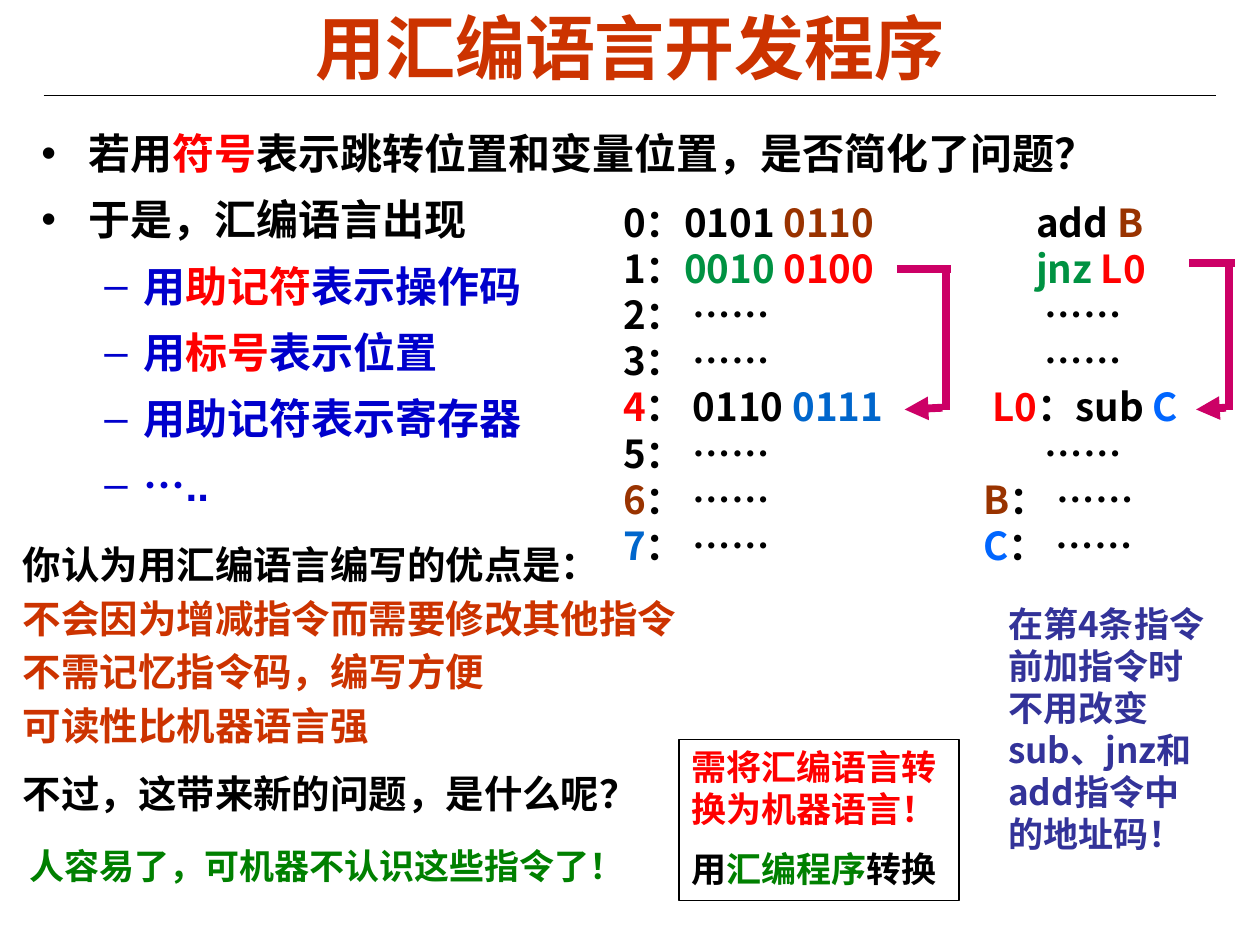
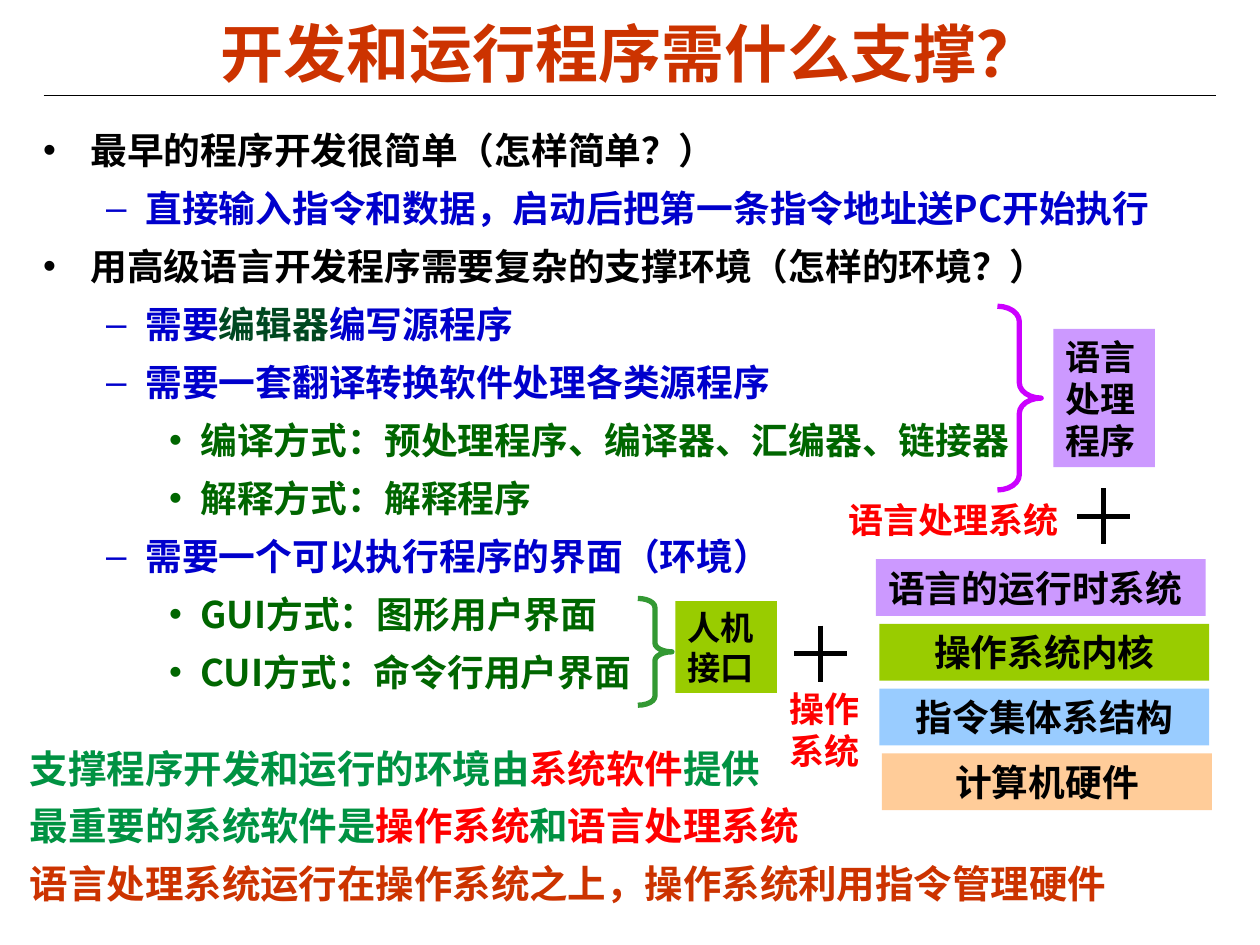
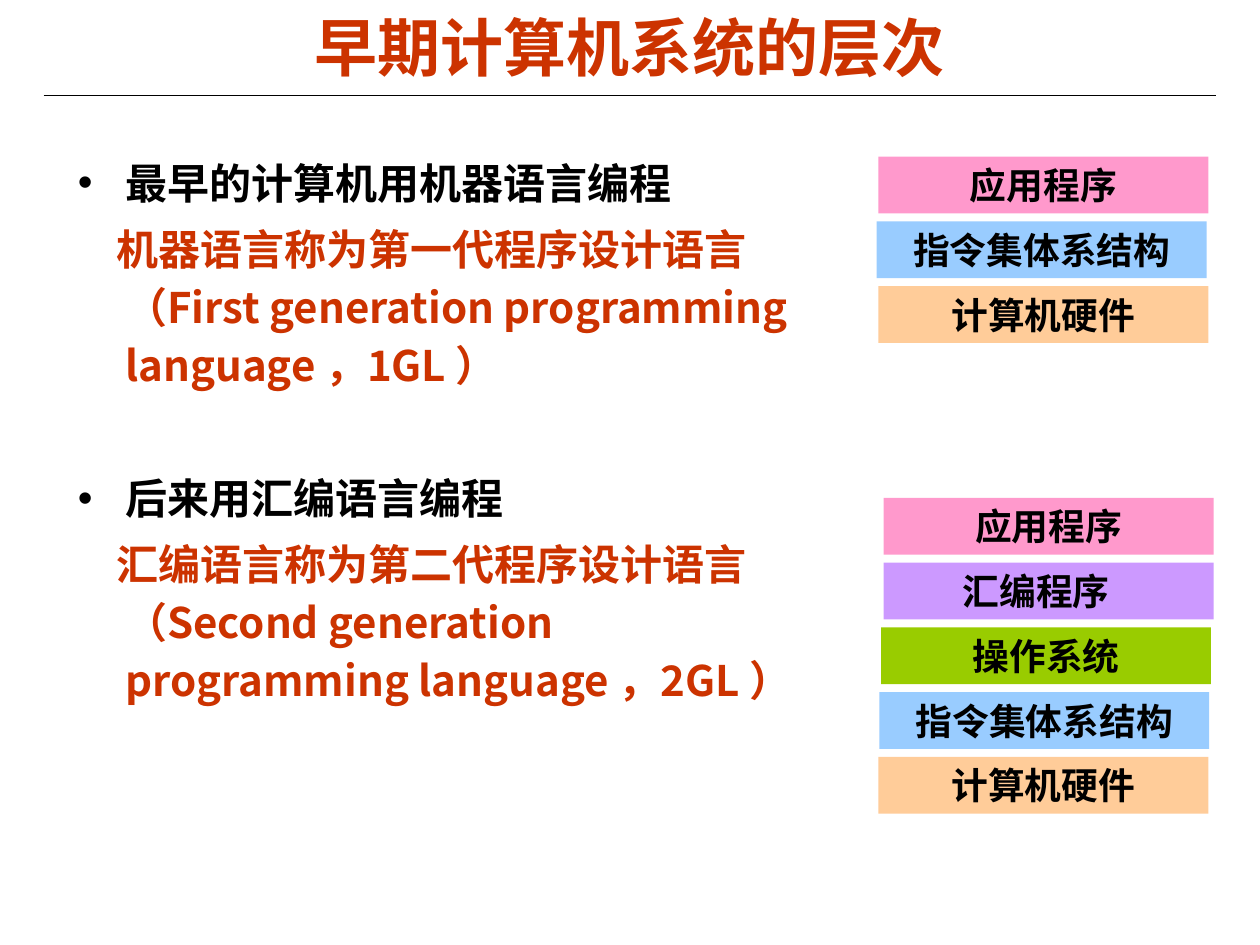
from dataclasses import dataclass

from lxml import etree
from pptx import Presentation
from pptx import util as u
from pptx.dml.color import RGBColor
from pptx.enum import shapes, text
from pptx.oxml import ns


@dataclass(frozen=True)
class Theme:
    latin: str = "Arial"
    cjk: str = "Noto Sans CJK SC"
    black: str = "000000"
    red: str = "FF0000"
    rust: str = "CC3300"
    brown: str = "993300"
    blue: str = "0000CC"
    operand_blue: str = "0066CC"
    label_blue: str = "0066FF"
    indigo: str = "333399"
    green: str = "009242"
    leaf: str = "008000"
    forest: str = "006600"
    pine: str = "004821"
    magenta: str = "CC0066"
    violet: str = "CC00FF"
    brace_green: str = "339933"
    lilac: str = "CC99FF"
    lime: str = "99CC00"
    sky: str = "99CCFF"
    peach: str = "FFCC99"
    pink: str = "FF99CC"
    big_title: int = 40
    title: int = 36
    body: int = 24
    statement: int = 22
    outline: int = 21
    label: int = 20
    small_label: int = 19
    line_height: float = 1.2
    body_stretch: float = 1.15


THEME = Theme()
LEVELS = [(27, -27, "•"), (58.5, -22.5, "–"), (90, -18, "•")]
LAYER_WIDTH, LAYER_HEIGHT, LAYER_PITCH = 188.5, 32.5, 37


def apply_format(target, values):
    for name, value in values.items():
        setattr(target, name, value)


def points(*lengths):
    return [u.Pt(length) for length in lengths]


def para(*runs, level=None, left=0, first=0, before=None):
    """Describe a paragraph; each run is (colour, text[, font])."""
    bullet = None
    if level is not None:
        left, first, bullet = LEVELS[level]
    return {"runs": runs, "left": left, "first": first,
            "bullet": bullet, "before": before}


def add_run(paragraph, size, font, colour, words, own_font=None):
    run = paragraph.add_run()
    run.text = words
    apply_format(run.font, {"size": u.Pt(size), "bold": True,
                            "name": own_font or font})
    run.font.color.rgb = RGBColor.from_string(colour)
    east_asian = etree.Element(ns.qn("a:ea"), typeface=THEME.cjk)
    run.font._element.find(ns.qn("a:latin")).addnext(east_asian)


def set_indent(paragraph, left, first, bullet):
    properties = paragraph._p.get_or_add_pPr()
    properties.set("marL", str(u.Pt(left)))
    properties.set("indent", str(u.Pt(first)))
    if bullet:
        etree.SubElement(properties, ns.qn("a:buFont"), typeface=THEME.latin)
        etree.SubElement(properties, ns.qn("a:buChar"), char=bullet)


def write_text(shape, paragraphs, size, before=0.5, stretch=1, font=THEME.latin,
               align=text.PP_ALIGN.LEFT, anchor=text.MSO_ANCHOR.TOP):
    """Fill a shape; before is the paragraph gap as a share of the type size."""
    frame = shape.text_frame
    apply_format(frame, {"word_wrap": True, "vertical_anchor": anchor})
    for number, item in enumerate(paragraphs):
        paragraph = frame.add_paragraph() if number else frame.paragraphs[0]
        gap = size * before if item["before"] is None else item["before"]
        apply_format(paragraph, {
            "alignment": align,
            "line_spacing": u.Pt(size * THEME.line_height * stretch),
            "space_before": u.Pt(gap if number else 0)})
        set_indent(paragraph, item["left"], item["first"], item["bullet"])
        for run in item["runs"]:
            add_run(paragraph, size, font, *run)


def add_text(slide, box, paragraphs, size, **options):
    write_text(slide.shapes.add_textbox(*points(*box)), paragraphs, size, **options)


def add_body(slide, box, paragraphs, size, font):
    add_text(slide, box, paragraphs, size, before=0.2,
             stretch=THEME.body_stretch, font=font)


def add_line(slide, start, end, colour=THEME.black, width=0.75, arrow=False):
    line = slide.shapes.add_connector(shapes.MSO_CONNECTOR.STRAIGHT,
                                      *points(*start, *end))
    line.line.width = u.Pt(width)
    line.line.color.rgb = RGBColor.from_string(colour)
    if arrow:
        etree.SubElement(line.line._get_or_add_ln(), ns.qn("a:tailEnd"),
                         type="triangle")
    etree.SubElement(line._element.spPr, ns.qn("a:effectLst"))


def add_preset(slide, kind, box, fill=None, outline=None, width=0.75):
    shape = slide.shapes.add_shape(kind, *points(*box))
    shape.shadow.inherit = False
    if fill:
        shape.fill.solid()
        shape.fill.fore_color.rgb = RGBColor.from_string(fill)
    else:
        shape.fill.background()
    if outline:
        shape.line.color.rgb = RGBColor.from_string(outline)
        shape.line.width = u.Pt(width)
    else:
        shape.line.fill.background()
    return shape


def add_block(slide, box, fill, words, size, left=0, align=text.PP_ALIGN.LEFT):
    block = add_preset(slide, shapes.MSO_SHAPE.RECTANGLE, box, fill)
    write_text(block, [para((THEME.black, words), left=left)], size, align=align)


def add_layers(slide, top, layers):
    """Stack system layers downwards; a layer is (left, fill, words[, indent])."""
    for number, (left, fill, words, *indent) in enumerate(layers):
        box = (left, top + number * LAYER_PITCH, LAYER_WIDTH, LAYER_HEIGHT)
        if indent:
            add_block(slide, box, fill, words, THEME.outline, left=indent[0])
        else:
            add_block(slide, box, fill, words, THEME.outline,
                      align=text.PP_ALIGN.CENTER)


def add_brace(slide, box, colour, curve):
    brace = add_preset(slide, shapes.MSO_SHAPE.RIGHT_BRACE, box,
                       outline=colour, width=3)
    brace.adjustments[0] = curve
    brace.adjustments[1] = 0.5


def add_plus(slide, x, y):
    add_line(slide, (x - 15, y), (x + 15, y), width=3)
    add_line(slide, (x, y - 16), (x, y + 16), width=3)


def add_jump(slide, left, corner, tip, top, bottom):
    """Draw the bent arrow from a jump instruction to its target."""
    style = {"colour": THEME.magenta, "width": 4.5}
    add_line(slide, (left, top), (corner + 3, top), **style)
    add_line(slide, (corner, top - 1), (corner, bottom), **style)
    add_line(slide, (corner - 2, bottom - 1), (tip, bottom), arrow=True, **style)


def add_slide(presentation, title, top, height, size=THEME.title):
    slide = presentation.slides.add_slide(presentation.slide_layouts[6])
    add_line(slide, (25, 54.5), (695, 54.5))
    add_text(slide, (36, top, 648, height), [para((THEME.rust, title))], size,
             align=text.PP_ALIGN.CENTER, anchor=text.MSO_ANCHOR.MIDDLE)
    return slide


def build_assembly(presentation):
    t = THEME
    slide = add_slide(presentation, "用汇编语言开发程序", 10, 33, t.big_title)
    add_body(slide, (16.5, 65, 641.5, 391), [
        para((t.black, "若用"), (t.red, "符号"),
             (t.black, "表示跳转位置和变量位置，是否简化了问题？"), level=0),
        para((t.black, "于是，汇编语言出现"), level=0),
        para((t.blue, "用"), (t.red, "助记符"), (t.blue, "表示操作码"), level=1),
        para((t.blue, "用"), (t.red, "标号"), (t.blue, "表示位置"), level=1),
        para((t.blue, "用助记符表示寄存器"), level=1),
        para((t.blue, "…", t.cjk), (t.blue, ".."), level=1),
    ], t.body, t.latin)

    add_text(slide, (349, 110, 191, 218), [
        para((t.black, "0：0101 "), (t.brown, "0110")),
        para((t.black, "1："), (t.green, "0010 "), (t.red, "0100")),
        para((t.black, "2： ……")),
        para((t.black, "3： ……")),
        para((t.red, "4"), (t.black, "： 0110 "), (t.operand_blue, "0111")),
        para((t.black, "5： ……")),
        para((t.brown, "6"), (t.black, "： ……")),
        para((t.operand_blue, "7"), (t.black, "： ……")),
    ], t.statement, before=0, font=t.cjk)
    add_jump(slide, 512.5, 540.5, 517, 153.5, 234)

    dots = para((t.black, "……"), left=35)
    add_text(slide, (555, 110, 147.5, 220), [
        para((t.black, "add "), (t.brown, "B"), left=30),
        para((t.green, "jnz "), (t.red, "L0"), left=30),
        dots,
        dots,
        para((t.red, "L0"), (t.black, "：sub "), (t.label_blue, "C"), left=5),
        dots,
        para((t.brown, "B"), (t.black, "： ……")),
        para((t.label_blue, "C"), (t.black, "： ……")),
    ], t.statement, before=0, font=t.cjk)
    add_jump(slide, 679.5, 702.5, 683.5, 150.5, 234)

    add_text(slide, (569, 340.5, 131, 152.5), [
        para((t.indigo, "在第4条指令前加指令时不用改变sub、jnz和add指令中的地址码！")),
    ], t.label, font=t.cjk)
    add_text(slide, (6, 305.5, 411, 128), [
        para((t.black, "你认为用汇编语言编写的优点是：")),
        para((t.rust, "不会因为增减指令而需要修改其他指令")),
        para((t.rust, "不需记忆指令码，编写方便")),
        para((t.rust, "可读性比机器语言强")),
    ], t.statement, before=0.2)
    add_text(slide, (6, 436.5, 386, 34),
             [para((t.black, "不过，这带来新的问题，是什么呢？"))], t.statement)
    add_text(slide, (9.5, 479, 361.5, 31),
             [para((t.leaf, "人容易了，可机器不认识这些指令了！"))], t.label)

    solution = add_preset(slide, shapes.MSO_SHAPE.RECTANGLE,
                          (388, 422.5, 160, 92), outline=t.black)
    solution.text_frame.margin_right = u.Pt(0)
    write_text(solution, [
        para((t.red, "需将汇编语言转换为机器语言！")),
        para((t.black, "用"), (t.leaf, "汇编程序"), (t.black, "转换")),
    ], t.label)


def build_support(presentation):
    t = THEME
    slide = add_slide(presentation, "开发和运行程序需什么支撑？", 8, 44)
    add_body(slide, (17.5, 65.5, 672, 411), [
        para((t.black, "最早的程序开发很简单（怎样简单？）"), level=0),
        para((t.blue, "直接输入指令和数据，启动后把第一条指令地址送PC开始执行"), level=1),
        para((t.black, "用高级语言开发程序需要复杂的支撑环境（怎样的环境？）"), level=0),
        para((t.blue, "需要"), (t.pine, "编辑器"), (t.blue, "编写源程序"), level=1),
        para((t.blue, "需要一套翻译转换软件处理各类源程序"), level=1),
        para((t.forest, "编译方式：预处理程序、编译器、汇编器、链接器"), level=2),
        para((t.forest, "解释方式：解释程序"), level=2),
        para((t.blue, "需要一个可以执行程序的界面（环境）"), level=1),
        para((t.forest, "GUI方式：图形用户界面"), level=2),
        para((t.forest, "CUI方式：命令行用户界面"), level=2),
    ], t.outline, t.cjk)
    add_text(slide, (10, 422, 685, 102), [
        para((t.green, "支撑程序开发和运行的环境由"), (t.red, "系统软件"), (t.green, "提供")),
        para((t.green, "最重要的系统软件是"), (t.red, "操作系统"),
             (t.green, "和"), (t.red, "语言处理系统")),
        para((t.rust, "语言处理系统运行在操作系统之上，操作系统利用指令管理硬件")),
    ], t.statement, before=0.3)

    add_brace(slide, (570, 175, 25, 105), t.violet, 0.35)
    add_block(slide, (602, 188, 58, 79), t.lilac, "语言处理程序", t.label)
    add_brace(slide, (364.5, 342, 19.5, 61), t.brace_green, 0.26)
    add_block(slide, (386, 343.5, 58, 52.5), t.lime, "人机接口", t.small_label)
    add_layers(slide, 319.5, [
        (500.5, t.lilac, "语言的运行时系统", 0),
        (502.5, t.lime, "操作系统内核"),
        (502.5, t.sky, "指令集体系结构"),
        (504, t.peach, "计算机硬件"),
    ])
    add_text(slide, (444, 389.5, 62.5, 55.5), [para((t.red, "操作系统"))], t.label)
    add_plus(slide, 469, 373.5)
    add_plus(slide, 630.5, 295)
    add_text(slide, (477.5, 281.5, 147.5, 31), [para((t.red, "语言处理系统"))], t.label)


def build_early_layers(presentation):
    t = THEME
    slide = add_slide(presentation, "早期计算机系统的层次", 4.5, 44)
    detail = {"left": 27, "first": -5}
    second_topic = para((t.black, "后来用汇编语言编程"), level=0)
    second_topic["before"] = 43
    add_body(slide, (37.5, 82, 443.5, 410), [
        para((t.black, "最早的计算机用机器语言编程"), level=0),
        para((t.rust, "机器语言称为第一代程序设计语言"
                      "（First generation programming language ，1GL ）"), **detail),
        second_topic,
        para((t.rust, "汇编语言称为第二代程序设计语言"
                      "（Second generation programming language ，2GL ）"), **detail),
    ], t.body, t.cjk)
    add_layers(slide, 89.5, [
        (502, t.pink, "应用程序"),
        (501, t.sky, "指令集体系结构"),
        (502, t.peach, "计算机硬件"),
    ])
    add_layers(slide, 284.5, [
        (505, t.pink, "应用程序"),
        (505, t.lilac, "汇编程序", 38),
        (503.5, t.lime, "操作系统"),
        (502.5, t.sky, "指令集体系结构"),
        (502, t.peach, "计算机硬件"),
    ])


def main():
    presentation = Presentation()
    apply_format(presentation, {"slide_width": u.Pt(720), "slide_height": u.Pt(540)})
    build_assembly(presentation)
    build_support(presentation)
    build_early_layers(presentation)
    presentation.save("out.pptx")


if __name__ == "__main__":
    main()
